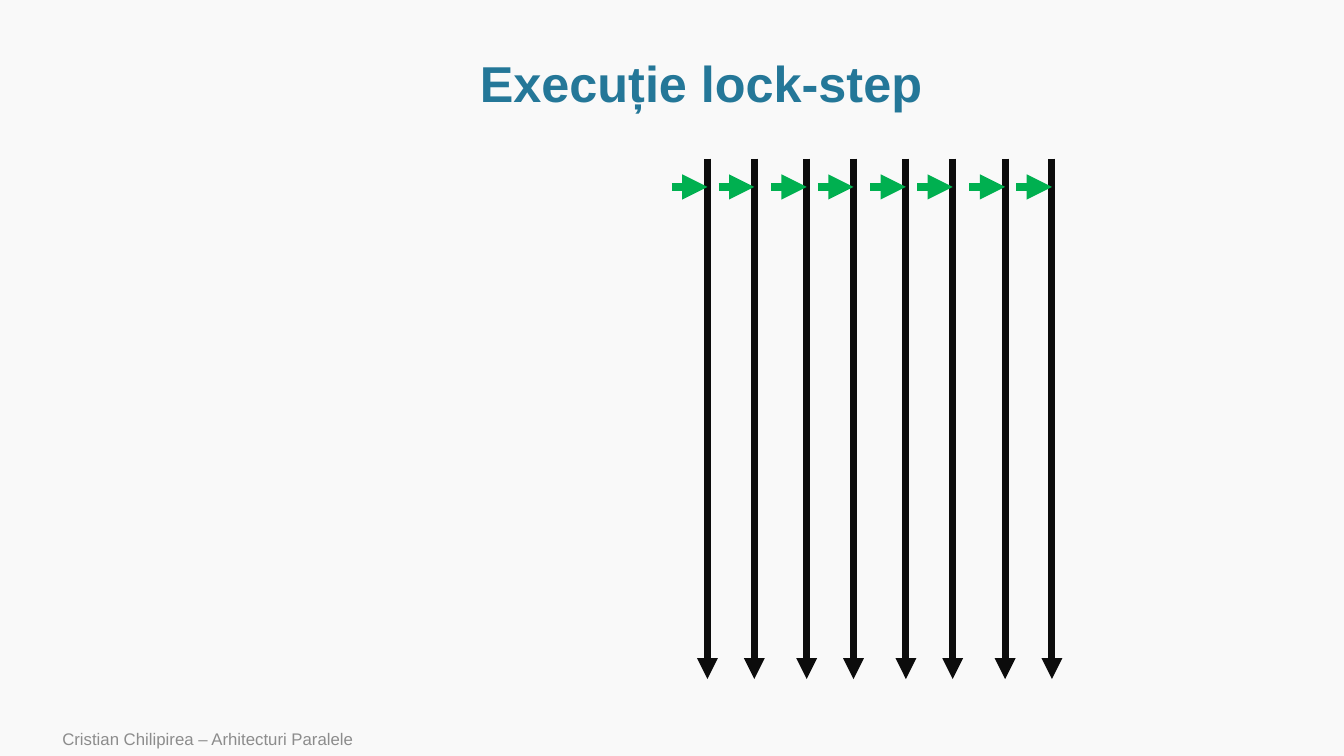
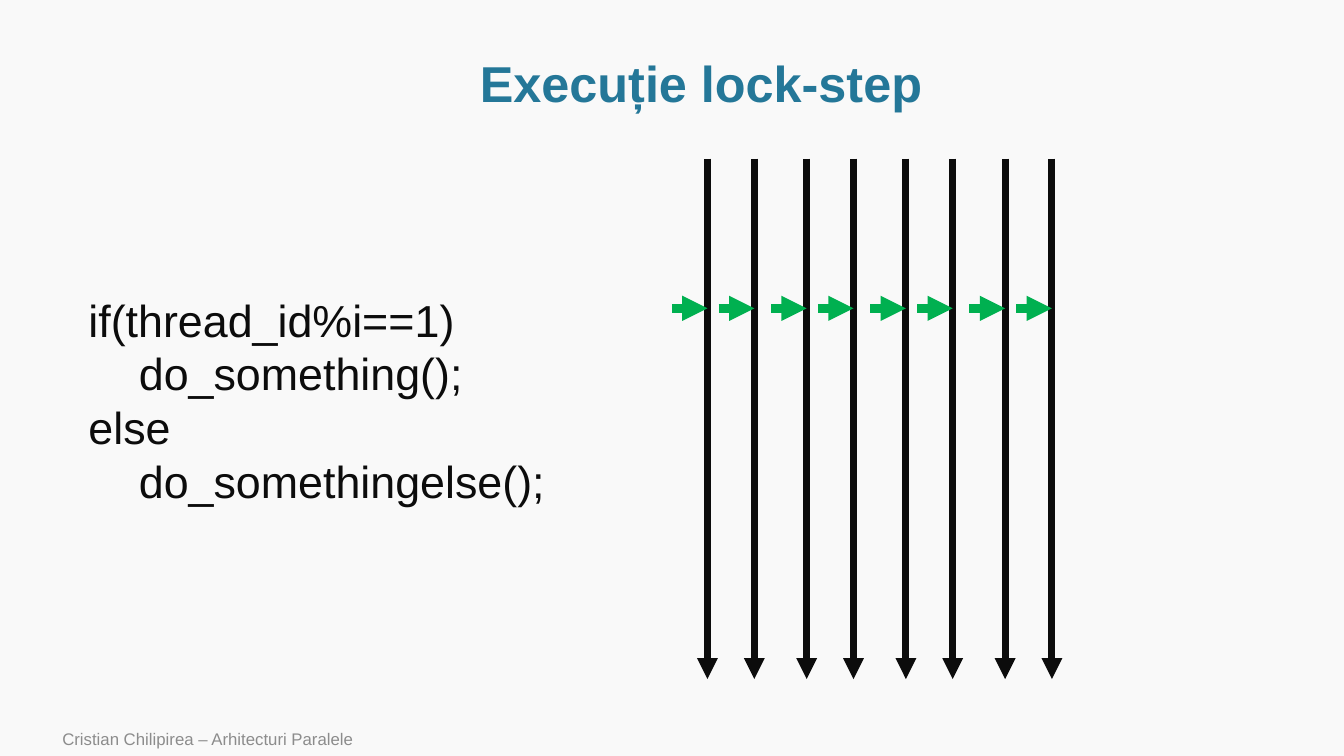
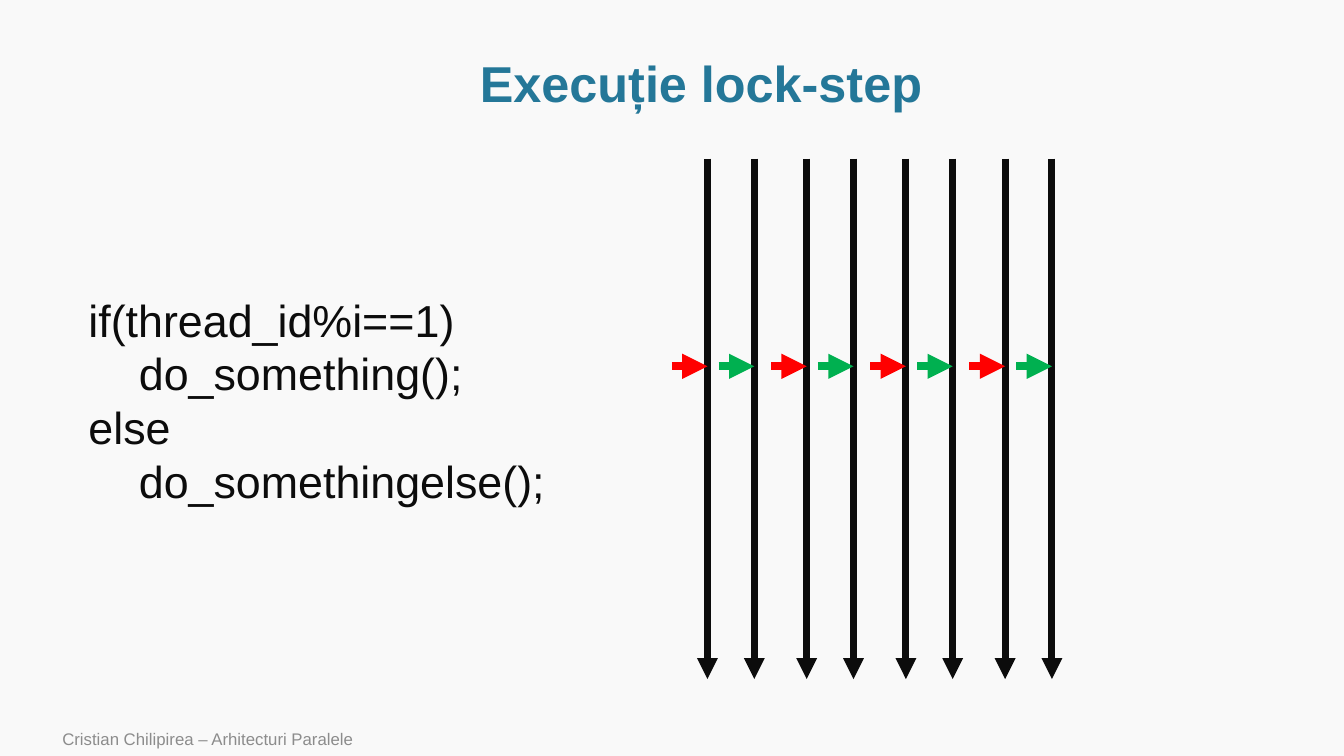
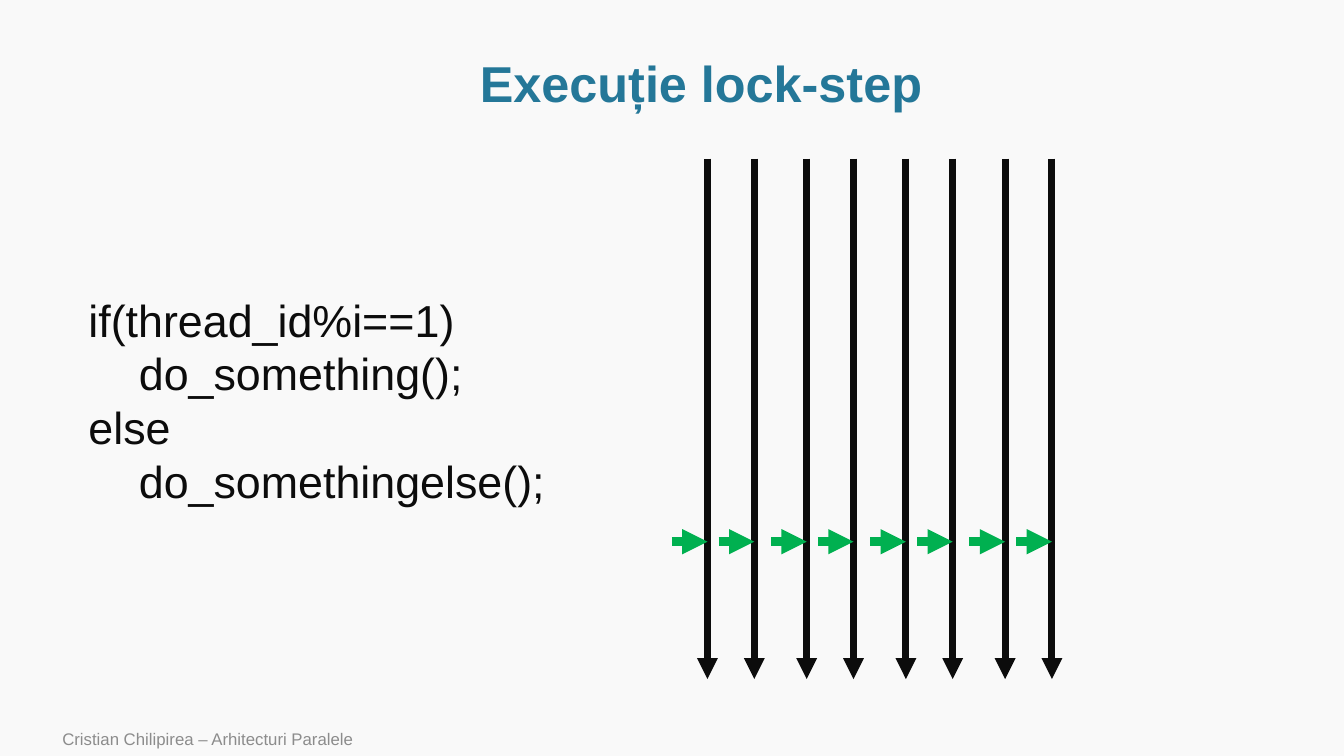
from lxml import etree
from pptx import Presentation
from pptx.dml.color import RGBColor
from pptx.enum import shapes, text
from pptx.oxml import ns
from pptx.util import Cm, Pt

TITLE = "Execuție lock-step"
FOOTER = "Cristian Chilipirea – Arhitecturi Paralele"
CODE = [
    "if(thread_id%i==1)",
    "\tdo_something();",
    "else",
    "\tdo_somethingelse();",
]
COLORS = {
    "background": "F9F9F9",
    "title": "247798",
    "footer": "8C8C8C",
    "ink": "0C0C0C",
    "active": "00B050",
    "idle": "FF0000",
}

# One entry per slide: height of the step markers (cm), marker colours
# of each pair of threads, and whether the code is shown.
STEPS = [
    {"y": 4.71, "pair": ("active", "active"), "code": False},
    {"y": 7.77, "pair": ("active", "active"), "code": True},
    {"y": 9.23, "pair": ("idle", "active"), "code": True},
    {"y": 13.65, "pair": ("active", "active"), "code": True},
]

# Boxes are left, top, width, height in cm.
TITLE_BOX = (2.9, 1.3, 29.54, 1.75)
FOOTER_BOX = (1.32, 18.19, 21.34, 0.86)
CODE_BOX = (1.98, 7.24, 13.6, 5.74)

PAIRS = 4
FIRST_X, PAIR_PITCH, THREAD_GAP = 17.83, 2.5, 1.18
THREAD_TOP, THREAD_BOTTOM = 4, 17.11
MARKER_LENGTH = 0.9
THREAD_WIDTH, MARKER_WIDTH = 5, 6

MIDDLE = text.MSO_ANCHOR.MIDDLE
CENTER = text.PP_ALIGN.CENTER
TITLE_STYLE = {"size": Pt(36), "bold": True}
FOOTER_STYLE = {"size": Pt(12)}
CODE_STYLE = {"size": Pt(32)}


def rgb(name):
    return RGBColor.from_string(COLORS[name])


def add_text(s, lines, box, style, color, anchor=text.MSO_ANCHOR.TOP, **layout):
    """Add a text box; layout holds paragraph attributes."""
    tf = s.shapes.add_textbox(*map(Cm, box)).text_frame
    tf.word_wrap = True
    tf.vertical_anchor = anchor
    for i, line in enumerate(lines):
        p = tf.paragraphs[0] if i == 0 else tf.add_paragraph()
        for name, value in layout.items():
            setattr(p, name, value)
        r = p.add_run()
        r.text = line
        for name, value in {"name": "Arial", **style}.items():
            setattr(r.font, name, value)
        r.font.color.rgb = rgb(color)


def add_arrow(s, start, end, color, width):
    sp = s.shapes.add_connector(
        shapes.MSO_CONNECTOR.STRAIGHT, *map(Cm, (*start, *end)))
    sp.line.color.rgb = rgb(color)
    sp.line.width = Pt(width)
    etree.SubElement(sp.line._get_or_add_ln(), ns.qn("a:tailEnd"), type="triangle")
    etree.SubElement(sp._element.spPr, ns.qn("a:effectLst"))


def add_threads(s, step):
    threads = [
        (FIRST_X + pair * PAIR_PITCH + side * THREAD_GAP, step["pair"][side])
        for pair in range(PAIRS) for side in range(2)
    ]
    for x, _ in threads:
        add_arrow(s, (x, THREAD_TOP), (x, THREAD_BOTTOM), "ink", THREAD_WIDTH)
    for x, color in threads:
        add_arrow(s, (x - MARKER_LENGTH, step["y"]), (x, step["y"]),
                  color, MARKER_WIDTH)


def main():
    prs = Presentation()
    prs.slide_width, prs.slide_height = Cm(33.87), Cm(19.05)
    fill = prs.slide_master.background.fill
    fill.solid()
    fill.fore_color.rgb = rgb("background")
    for step in STEPS:
        s = prs.slides.add_slide(prs.slide_layouts[6])
        add_text(s, [FOOTER], FOOTER_BOX, FOOTER_STYLE, "footer", MIDDLE)
        add_text(s, [TITLE], TITLE_BOX, TITLE_STYLE, "title", MIDDLE,
                 alignment=CENTER, line_spacing=0.9)
        add_threads(s, step)
        if step["code"]:
            add_text(s, CODE, CODE_BOX, CODE_STYLE, "ink")
    prs.save("out.pptx")


if __name__ == "__main__":
    main()
